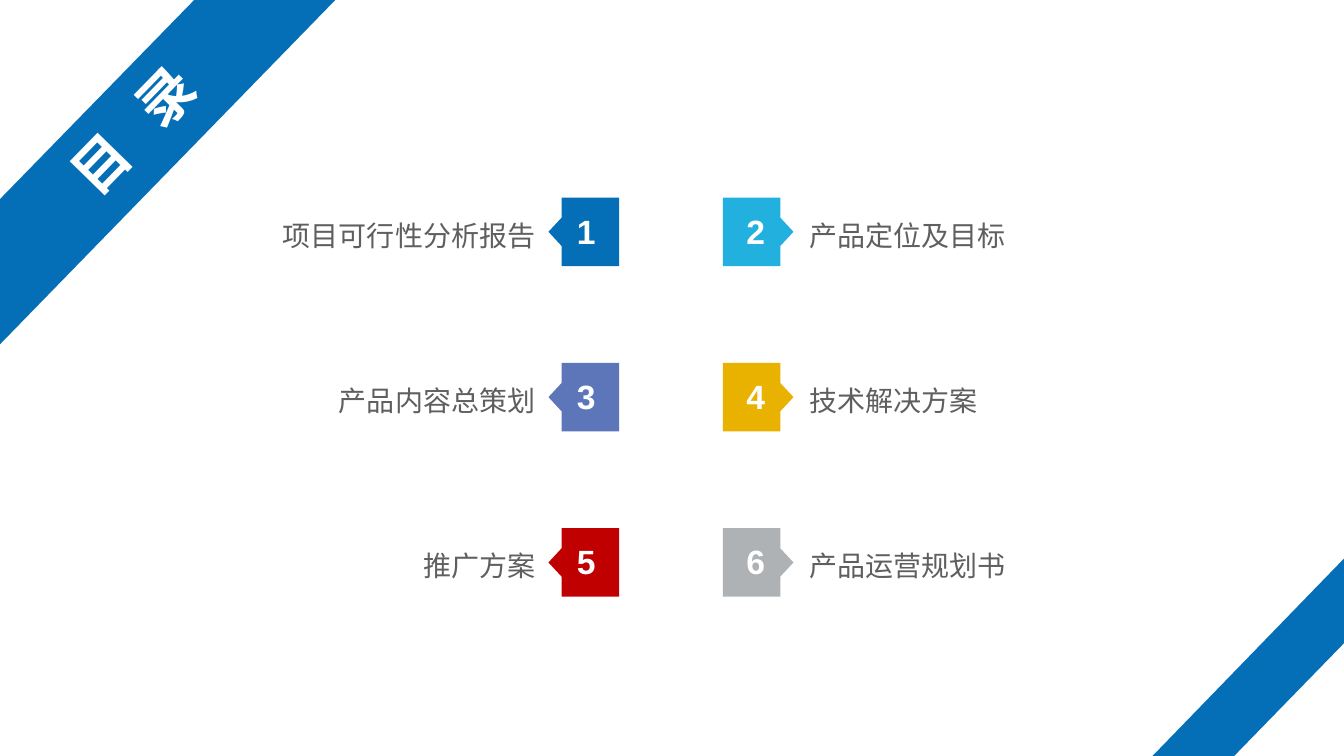
"""Build the table-of-contents slide with six numbered topics and two corner ribbons."""
from dataclasses import dataclass
from math import cos, radians, sin

from pptx import Presentation
from pptx.dml.color import RGBColor
from pptx.enum.text import MSO_ANCHOR, PP_ALIGN
from pptx.shapes.autoshape import Shape
from pptx.shapes.shapetree import GroupShapes, SlideShapes
from pptx.util import Inches, Pt

COLORS = {
    "blue": "046FB6",
    "cyan": "22B1DE",
    "violet": "5D76BA",
    "gold": "EAB200",
    "red": "C00000",
    "silver": "AFB2B4",
    "white": "FFFFFF",
    "gray": "5F5F5F",
}
FONT = "Arial"
FIRST_ROW_TOP = 1.96
ROW_PITCH = 1.64
TAG_HEIGHT = 0.68
TAG_BODY = 0.57
TAG_TIP = 0.7
NOTCH = 0.2
LABEL_WIDTH, LABEL_HEIGHT = 3.84, 0.93

Point = tuple[float, float]


@dataclass(frozen=True)
class Topic:
    title: str
    color: str


@dataclass(frozen=True)
class Side:
    tag_edge: float
    direction: int
    label_left: float
    align: PP_ALIGN
    tag_insets: tuple[float, float, float, float]


@dataclass(frozen=True)
class Ribbon:
    corners: list[Point]
    center: Point
    rotation: float
    title: str = ""


TOPICS = [
    Topic("项目可行性分析报告", "blue"),
    Topic("产品定位及目标", "cyan"),
    Topic("产品内容总策划", "violet"),
    Topic("技术解决方案", "gold"),
    Topic("推广方案", "red"),
    Topic("产品运营规划书", "silver"),
]
SIDES = [
    Side(6.14, -1, 1.53, PP_ALIGN.RIGHT, (0.05, 0, 0, 0.02)),
    Side(7.17, 1, 7.97, PP_ALIGN.LEFT, (0, 0, 0.05, 0.02)),
]
RIBBONS = [
    Ribbon([(3.33, -0.01), (-0.01, 3.42), (-0.01, 1.98), (1.93, -0.01)],
           (1.3, 1.36), 314.3, "目 录"),
    Ribbon([(11.4, 7.51), (13.33, 5.52), (13.33, 6.36), (12.21, 7.51)],
           (12.58, 6.72), 134.3),
]


def write(shape: Shape, text: str, *, size: float, color: str, bold: bool = False,
          align: PP_ALIGN = PP_ALIGN.CENTER, line_spacing: float = 1.0,
          letter_spacing: float = 0,
          insets: tuple[float, float, float, float] = (0, 0, 0, 0)) -> None:
    frame = shape.text_frame
    frame.word_wrap = True
    frame.vertical_anchor = MSO_ANCHOR.MIDDLE
    (frame.margin_left, frame.margin_top,
     frame.margin_right, frame.margin_bottom) = map(Inches, insets)
    paragraph = frame.paragraphs[0]
    paragraph.alignment = align
    paragraph.line_spacing = line_spacing
    run = paragraph.add_run()
    run.text = text
    run.font.name = FONT
    run.font.size = Pt(size)
    run.font.bold = bold
    run.font.color.rgb = RGBColor.from_string(COLORS[color])
    if letter_spacing:
        run._r.get_or_add_rPr().set("spc", str(round(letter_spacing * 100)))


def draw_outline(shapes: SlideShapes | GroupShapes, points: list[Point], color: str) -> Shape:
    start, *others = [(Inches(x), Inches(y)) for x, y in points]
    builder = shapes.build_freeform(*start)
    builder.add_line_segments(others, close=True)
    outline = builder.convert_to_shape()
    outline.shadow.inherit = False
    outline.fill.solid()
    outline.fill.fore_color.rgb = RGBColor.from_string(COLORS[color])
    outline.line.fill.background()
    return outline


def draw_topic(shapes: SlideShapes, number: int, topic: Topic, side: Side, top: float) -> None:
    group = shapes.add_group_shape().shapes
    body_edge = side.tag_edge + side.direction * TAG_BODY
    tip = side.tag_edge + side.direction * TAG_TIP
    bottom = top + TAG_HEIGHT
    tag = draw_outline(group, [
        (side.tag_edge, top), (body_edge, top), (body_edge, top + NOTCH),
        (tip, top + TAG_HEIGHT / 2), (body_edge, bottom - NOTCH),
        (body_edge, bottom), (side.tag_edge, bottom),
    ], topic.color)
    write(tag, str(number), size=24, color="white", bold=True, insets=side.tag_insets)
    label_top = top + (TAG_HEIGHT - LABEL_HEIGHT) / 2
    label = group.add_textbox(Inches(side.label_left), Inches(label_top),
                              Inches(LABEL_WIDTH), Inches(LABEL_HEIGHT))
    write(label, topic.title, size=20, color="gray", align=side.align,
          line_spacing=1.2, insets=(0.06, 0, 0.06, 0))


def turn_back(point: Point, center: Point, degrees: float) -> Point:
    angle = radians(-degrees)
    dx, dy = point[0] - center[0], point[1] - center[1]
    return (center[0] + dx * cos(angle) - dy * sin(angle),
            center[1] + dx * sin(angle) + dy * cos(angle))


def draw_ribbon(shapes: SlideShapes, ribbon: Ribbon) -> None:
    level = [turn_back(corner, ribbon.center, ribbon.rotation) for corner in ribbon.corners]
    band = draw_outline(shapes, level, "blue")
    band.rotation = ribbon.rotation
    if ribbon.title:
        write(band, ribbon.title, size=40, color="white", bold=True,
              line_spacing=0.9, letter_spacing=9, insets=(0.12, 0, 0, 0))


def main() -> None:
    presentation = Presentation()
    presentation.slide_width = Inches(13.33)
    presentation.slide_height = Inches(7.5)
    shapes = presentation.slides.add_slide(presentation.slide_layouts[6]).shapes
    for index, topic in enumerate(TOPICS):
        row, column = divmod(index, len(SIDES))
        draw_topic(shapes, index + 1, topic, SIDES[column], FIRST_ROW_TOP + row * ROW_PITCH)
    for ribbon in RIBBONS:
        draw_ribbon(shapes, ribbon)
    presentation.save("out.pptx")


main()
